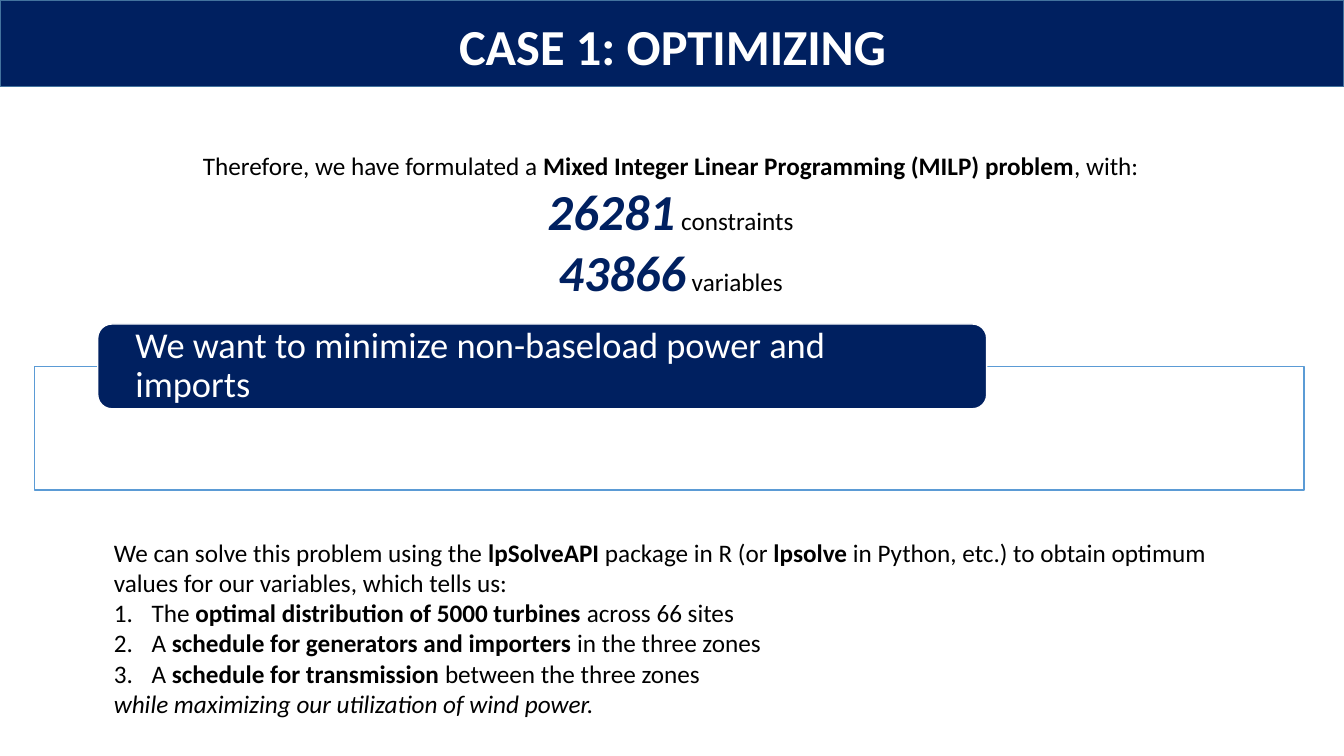
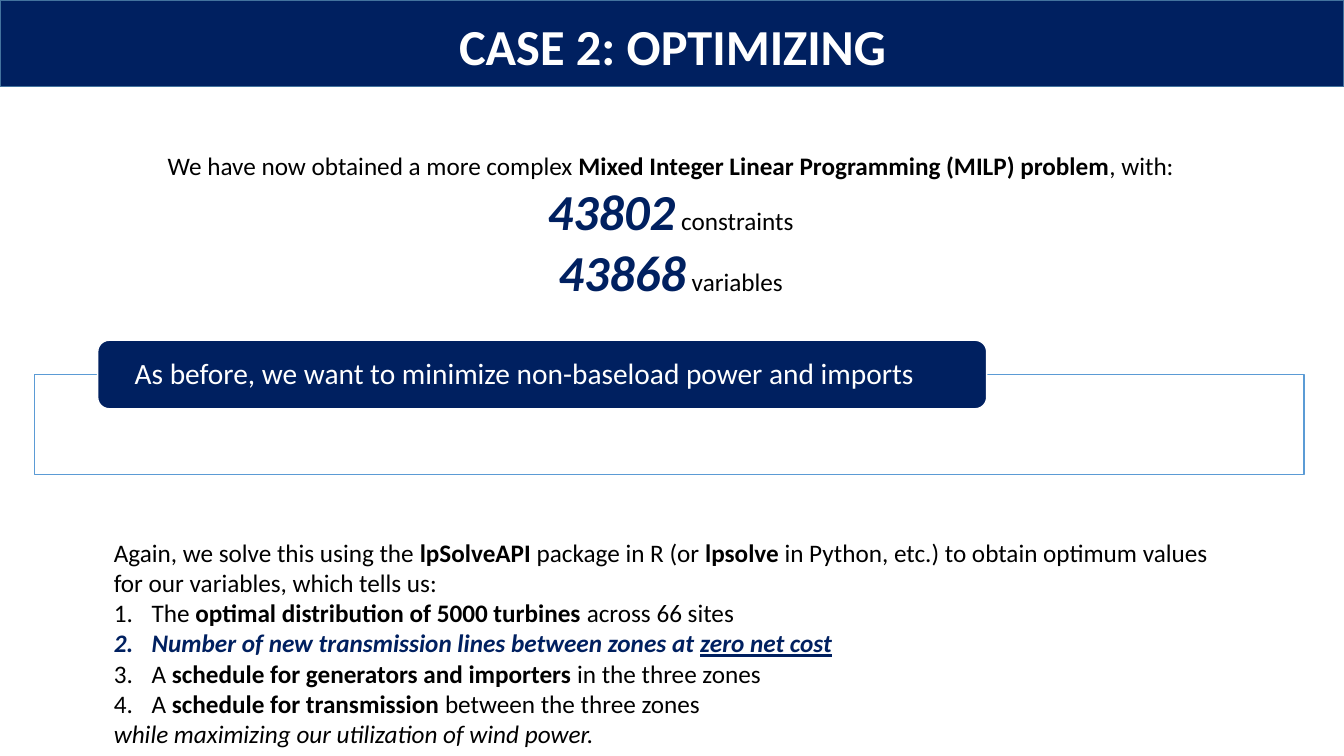
"""Build the two optimization case slides."""
from dataclasses import dataclass

from lxml import etree
from pptx import Presentation
from pptx.dml.color import RGBColor
from pptx.enum import shapes, text
from pptx.oxml import ns
from pptx.util import Pt


@dataclass(frozen=True)
class Theme:
    font: str = "Calibri"
    navy: str = "002060"
    band_line: str = "43739E"
    frame_line: str = "5B9BD5"
    white: str = "FFFFFF"
    black: str = "000000"
    title: int = 36
    body: int = 18


THEME = Theme()

STYLES = {
    "plain": ({"size": Pt(THEME.body)}, THEME.black),
    "bold": ({"size": Pt(THEME.body), "bold": True}, THEME.black),
    "italic": ({"size": Pt(THEME.body), "italic": True}, THEME.black),
    "figure": ({"size": Pt(THEME.title), "bold": True, "italic": True}, THEME.navy),
    "accent": ({"size": Pt(THEME.body), "bold": True, "italic": True}, THEME.navy),
    "accent_underlined": (
        {"size": Pt(THEME.body), "bold": True, "italic": True, "underline": True}, THEME.navy),
    "title": ({"size": Pt(THEME.title), "bold": True}, THEME.white),
    "goal_26": ({"size": Pt(26)}, THEME.white),
    "goal_21": ({"size": Pt(21)}, THEME.white),
}

TURBINES = [("The ", "plain"), ("optimal distribution of 5000 turbines ", "bold"),
            ("across 66 sites", "plain")]
NEW_LINES = [("Number of new transmission lines between zones at ", "accent"),
             ("zero net cost", "accent_underlined")]
GENERATORS = [("A ", "plain"), ("schedule for generators and importers ", "bold"),
              ("in the three zones", "plain")]
TRANSMISSION = [("A ", "plain"), ("schedule for transmission ", "bold"),
                ("between the three zones", "plain")]
SOLVER = [("lpSolveAPI", "bold"), (" package in R (or ", "plain"), ("lpsolve ", "bold"),
          ("in Python, etc.) to obtain optimum values for our variables, which tells us:", "plain")]
CLOSING = [("while maximizing our utilization of wind power.", "italic")]

CASES = [
    {
        "title": "CASE 1: OPTIMIZING",
        "lead": "Therefore, we have formulated a ",
        "counts": {"constraints": 26281, "variables": 43866},
        "goal": "We want to minimize non-baseload power and imports",
        "goal_size": 26,
        "solve": "We can solve this problem using the ",
        "results": [TURBINES, GENERATORS, TRANSMISSION],
    },
    {
        "title": "CASE 2: OPTIMIZING",
        "lead": "We have now obtained a more complex ",
        "counts": {"constraints": 43802, "variables": 43868},
        "goal": "As before, we want to minimize non-baseload power and imports",
        "goal_size": 21,
        "solve": "Again, we solve this using the ",
        "results": [TURBINES, NEW_LINES, GENERATORS, TRANSMISSION],
    },
]

SLIDE_WIDTH, SLIDE_HEIGHT = 960, 540
BAND_HEIGHT = 62
TITLE_BOX = (139, 7.2, 683, 51)
PROBLEM_BOX = (110, 103.7, 738, 116.6)
SOLUTION_LEFT, SOLUTION_TOP, SOLUTION_WIDTH = 74.2, 380, 802
SOLUTION_LINE = 21.8
FRAME_LEFT, FRAME_WIDTH = 24.5, 907
PILL_LEFT, PILL_WIDTH, PILL_BOTTOM = 69.8, 635, 292
PILL_RATIO, FRAME_RATIO = 2.33, 3.4
NUMBER_INDENT = 27


def set_values(target, values):
    for name, value in values.items():
        setattr(target, name, value)


def add_box(slide, kind, box, fill, line):
    shape = slide.shapes.add_shape(kind, *map(Pt, box))
    shape.shadow.inherit = False
    shape.fill.solid()
    shape.fill.fore_color.rgb = RGBColor.from_string(fill)
    shape.line.color.rgb = RGBColor.from_string(line)
    shape.line.width = Pt(1)
    return shape


def write_runs(paragraph, runs, alignment):
    paragraph.alignment = alignment
    for words, style in runs:
        run = paragraph.add_run()
        run.text = words
        values, color = STYLES[style]
        set_values(run.font, {"name": THEME.font, **values})
        run.font.color.rgb = RGBColor.from_string(color)


def add_text(slide, box, lines, alignment=text.PP_ALIGN.LEFT):
    frame = slide.shapes.add_textbox(*map(Pt, box)).text_frame
    set_values(frame, {"word_wrap": True,
                       "auto_size": text.MSO_AUTO_SIZE.SHAPE_TO_FIT_TEXT})
    for index, runs in enumerate(lines):
        paragraph = frame.add_paragraph() if index else frame.paragraphs[0]
        write_runs(paragraph, runs, alignment)
    return frame


def number_paragraph(paragraph):
    properties = paragraph._p.get_or_add_pPr()
    properties.set("marL", str(Pt(NUMBER_INDENT)))
    properties.set("indent", str(-Pt(NUMBER_INDENT)))
    etree.SubElement(properties, ns.qn("a:buFont"), typeface="+mj-lt")
    etree.SubElement(properties, ns.qn("a:buAutoNum"), type="arabicPeriod")


def add_header(slide, title):
    add_box(slide, shapes.MSO_SHAPE.RECTANGLE, (0, 0, SLIDE_WIDTH, BAND_HEIGHT),
            THEME.navy, THEME.band_line)
    add_text(slide, TITLE_BOX, [[(title, "title")]], text.PP_ALIGN.CENTER)


def add_problem(slide, case):
    lines = [[(case["lead"], "plain"),
              ("Mixed Integer Linear Programming (MILP) problem", "bold"),
              (", with:", "plain")]]
    lines += [[(str(count), "figure"), (f" {label}", "plain")]
              for label, count in case["counts"].items()]
    add_text(slide, PROBLEM_BOX, lines, text.PP_ALIGN.CENTER)


def add_goal(slide, goal, size):
    pill_height = PILL_RATIO * size
    frame_top = PILL_BOTTOM - pill_height / 2
    frame = add_box(slide, shapes.MSO_SHAPE.RECTANGLE,
                    (FRAME_LEFT, frame_top, FRAME_WIDTH, FRAME_RATIO * size),
                    THEME.white, THEME.frame_line)
    color = frame.fill._xPr.find(".//" + ns.qn("a:srgbClr"))
    etree.SubElement(color, ns.qn("a:alpha"), val="90000")
    pill = add_box(slide, shapes.MSO_SHAPE.ROUNDED_RECTANGLE,
                   (PILL_LEFT, PILL_BOTTOM - pill_height, PILL_WIDTH, pill_height),
                   THEME.navy, THEME.white)
    set_values(pill.text_frame, {
        "word_wrap": True, "vertical_anchor": text.MSO_ANCHOR.MIDDLE,
        "margin_left": Pt(24), "margin_right": Pt(24), "margin_top": 0, "margin_bottom": 0})
    paragraph = pill.text_frame.paragraphs[0]
    paragraph.line_spacing = 0.9
    write_runs(paragraph, [(goal, f"goal_{size}")], text.PP_ALIGN.LEFT)


def add_solution(slide, case):
    lines = [[(case["solve"], "plain"), *SOLVER], *case["results"], CLOSING]
    height = SOLUTION_LINE * (len(lines) + 1) + 7.2
    frame = add_text(slide, (SOLUTION_LEFT, SOLUTION_TOP, SOLUTION_WIDTH, height), lines)
    for paragraph in frame.paragraphs[1:-1]:
        number_paragraph(paragraph)


def main():
    presentation = Presentation()
    set_values(presentation, {"slide_width": Pt(SLIDE_WIDTH), "slide_height": Pt(SLIDE_HEIGHT)})
    for case in CASES:
        slide = presentation.slides.add_slide(presentation.slide_layouts[6])
        add_header(slide, case["title"])
        add_goal(slide, case["goal"], case["goal_size"])
        add_problem(slide, case)
        add_solution(slide, case)
    presentation.save("out.pptx")


if __name__ == "__main__":
    main()
